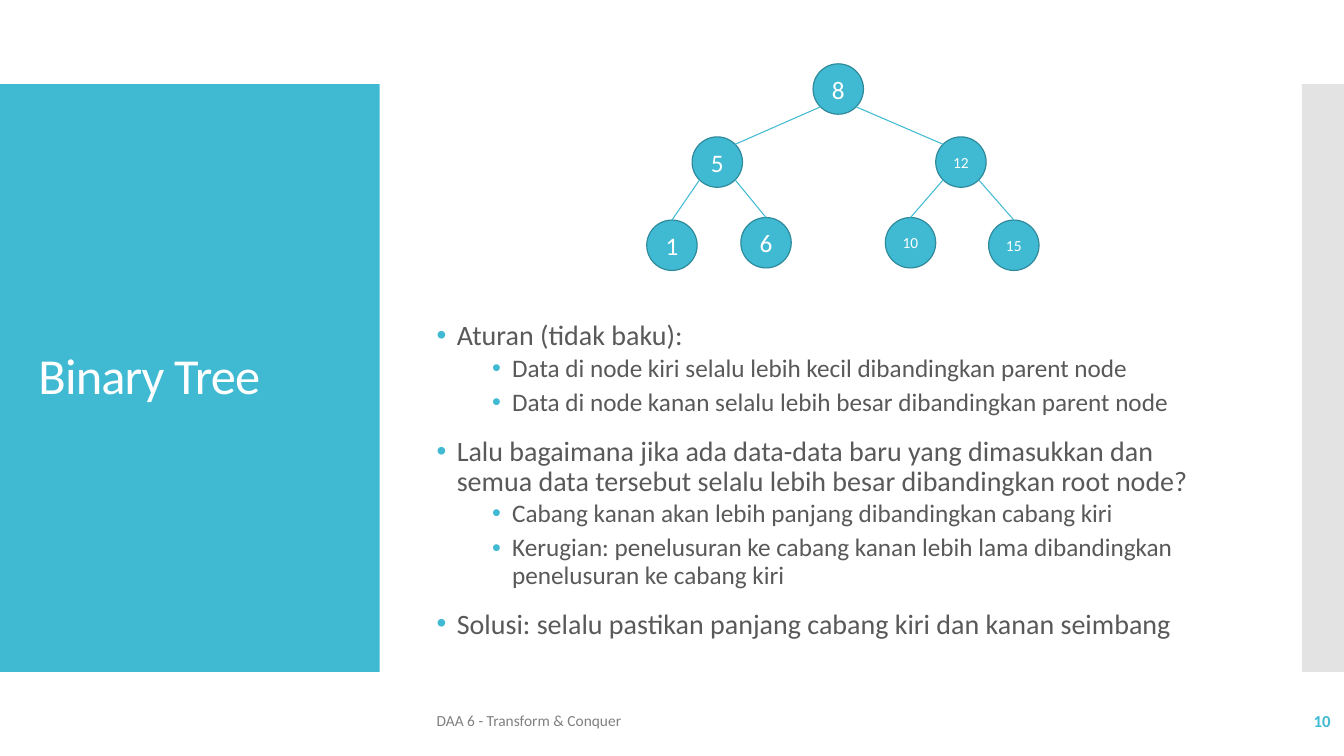
from math import sqrt

from lxml import etree
from pptx import Presentation, util as u
from pptx.dml.color import RGBColor
from pptx.enum import shapes, text
from pptx.oxml.ns import qn

# Grid of 16 columns by 9 rows of square cells
COLUMNS, ROWS = 16, 9
CELL = u.Inches(7.5) / ROWS
FONT = "Calibri"
TEAL, WHITE, GREY = "40BAD2", "FFFFFF", "595959"

# Tree nodes: left column, top row, text size, parent
DIAMETER = 0.6
NODES = {
    "8": (9.68, 0.76, 18, None),
    "5": (8.24, 1.63, 18, "8"),
    "12": (11.14, 1.63, 11, "8"),
    "1": (7.70, 2.62, 18, "5"),
    "6": (8.82, 2.59, 18, "5"),
    "10": (10.54, 2.59, 11, "12"),
    "15": (11.77, 2.62, 11, "12"),
}

# Bullet levels
LEVELS = [
    {"size": 20, "margin": 0.2, "before": 12, "after": 0},
    {"size": 18, "margin": 0.75, "before": 2.5, "after": 2.5},
]
BULLETS = [
    (0, "Aturan (tidak baku):"),
    (1, "Data di node kiri selalu lebih kecil dibandingkan parent node"),
    (1, "Data di node kanan selalu lebih besar dibandingkan parent node"),
    (0, "Lalu bagaimana jika ada data-data baru yang dimasukkan dan "
        "semua data tersebut selalu lebih besar dibandingkan root node?"),
    (1, "Cabang kanan akan lebih panjang dibandingkan cabang kiri"),
    (1, "Kerugian: penelusuran ke cabang kanan lebih lama dibandingkan "
        "penelusuran ke cabang kiri"),
    (0, "Solusi: selalu pastikan panjang cabang kiri dan kanan seimbang"),
]


def cells(*values):
    return [u.Emu(round(value * CELL)) for value in values]


def color(value):
    return RGBColor.from_string(value)


def set_all(target, values):
    for name, value in values.items():
        setattr(target, name, value)


def add_span(para, words, size, shade, bold=False):
    span = para.add_run()
    span.text = words
    set_all(span.font, {"name": FONT, "size": u.Pt(size), "bold": bold})
    span.font.color.rgb = color(shade)
    return span


def add_shape(page, kind, place, fill):
    shape = page.shapes.add_shape(kind, *cells(*place))
    shape.shadow.inherit = False
    shape.fill.solid()
    shape.fill.fore_color.rgb = color(fill)
    shape.line.fill.background()
    return shape


def add_box(page, place):
    frame = page.shapes.add_textbox(*cells(*place)).text_frame
    set_all(frame, {"word_wrap": True,
                    "vertical_anchor": text.MSO_ANCHOR.MIDDLE})
    return frame


def add_node(page, label, left, top, size):
    node = add_shape(page, shapes.MSO_SHAPE.FLOWCHART_CONNECTOR,
                     (left, top, DIAMETER, DIAMETER), TEAL)
    node.line.color.rgb = color("2F8A9B")
    node.line.width = u.Pt(0.85)
    frame = node.text_frame
    set_all(frame, {"margin_left": 0, "margin_right": 0, "margin_top": 0,
                    "margin_bottom": 0, "word_wrap": False,
                    "vertical_anchor": text.MSO_ANCHOR.MIDDLE})
    frame.paragraphs[0].alignment = text.PP_ALIGN.CENTER
    add_span(frame.paragraphs[0], label, size, WHITE)


def add_branch(page, parent, child, is_leaf):
    """Join a lower diagonal point of the parent to the child's upper edge."""
    radius = DIAMETER / 2
    diagonal = radius / sqrt(2)
    side = 1 if child[0] > parent[0] else -1
    start = (parent[0] + radius + side * diagonal,
             parent[1] + radius + diagonal)
    if is_leaf:
        end = child[0] + radius, child[1]
    else:
        end = (child[0] + radius - side * diagonal,
               child[1] + radius - diagonal)
    branch = page.shapes.add_connector(shapes.MSO_CONNECTOR.STRAIGHT,
                                       *cells(*start, *end))
    branch.line.color.rgb = color(TEAL)
    branch.line.width = u.Pt(0.75)
    etree.SubElement(branch._element.spPr, qn("a:effectLst"))


def add_tree(page):
    for label, (left, top, size, _) in NODES.items():
        add_node(page, label, left, top, size)
    parents = {node[3] for node in NODES.values()}
    for label, node in NODES.items():
        if node[3]:
            add_branch(page, NODES[node[3]], node, label not in parents)


def add_bullets(page, place):
    frame = add_box(page, place)
    for index, (depth, words) in enumerate(BULLETS):
        para = frame.add_paragraph() if index else frame.paragraphs[0]
        level = LEVELS[depth]
        set_all(para, {"level": depth, "line_spacing": 0.9,
                       "space_before": u.Pt(level["before"]),
                       "space_after": u.Pt(level["after"])})
        props = para._p.get_or_add_pPr()
        props.set("marL", str(u.Inches(level["margin"])))
        props.set("indent", str(u.Inches(-0.2)))
        shade = etree.SubElement(props, qn("a:buClr"))
        etree.SubElement(shade, qn("a:srgbClr"), val=TEAL)
        etree.SubElement(props, qn("a:buFont"), typeface="Arial")
        etree.SubElement(props, qn("a:buChar"), char="•")
        add_span(para, words, level["size"], GREY)


def main():
    deck = Presentation()
    deck.slide_width, deck.slide_height = cells(COLUMNS, ROWS)
    page = deck.slides.add_slide(deck.slide_layouts[6])

    # Side panels
    rectangle = shapes.MSO_SHAPE.RECTANGLE
    add_shape(page, rectangle, (0, 1, 4.52, 7), TEAL)
    strip = add_shape(page, rectangle, (15.5, 1, 0.5, 7), "C8C8C8")
    tint = strip._element.spPr.find(".//" + qn("a:srgbClr"))
    etree.SubElement(tint, qn("a:alpha"), val="50000")

    # Title
    heading = add_box(page, (0.34, 1.48, 3.86, 6.04)).paragraphs[0]
    heading.line_spacing = 0.9
    span = add_span(heading, "Binary Tree", 36, WHITE)
    span.font._element.set("spc", "-60")

    # Rules and tree
    add_bullets(page, (5.08, 3.48, 9.6, 4.49))
    add_tree(page)

    # Footer and page number
    footer = add_box(page, (5.08, 8.34, 7.75, 0.48)).paragraphs[0]
    add_span(footer, "DAA 6 - Transform & Conquer", 11, "808080")
    number = add_box(page, (13.96, 8.34, 2, 0.48)).paragraphs[0]
    number.alignment = text.PP_ALIGN.RIGHT
    add_span(number, "10", 12, TEAL, bold=True)

    deck.save("out.pptx")


if __name__ == "__main__":
    main()
